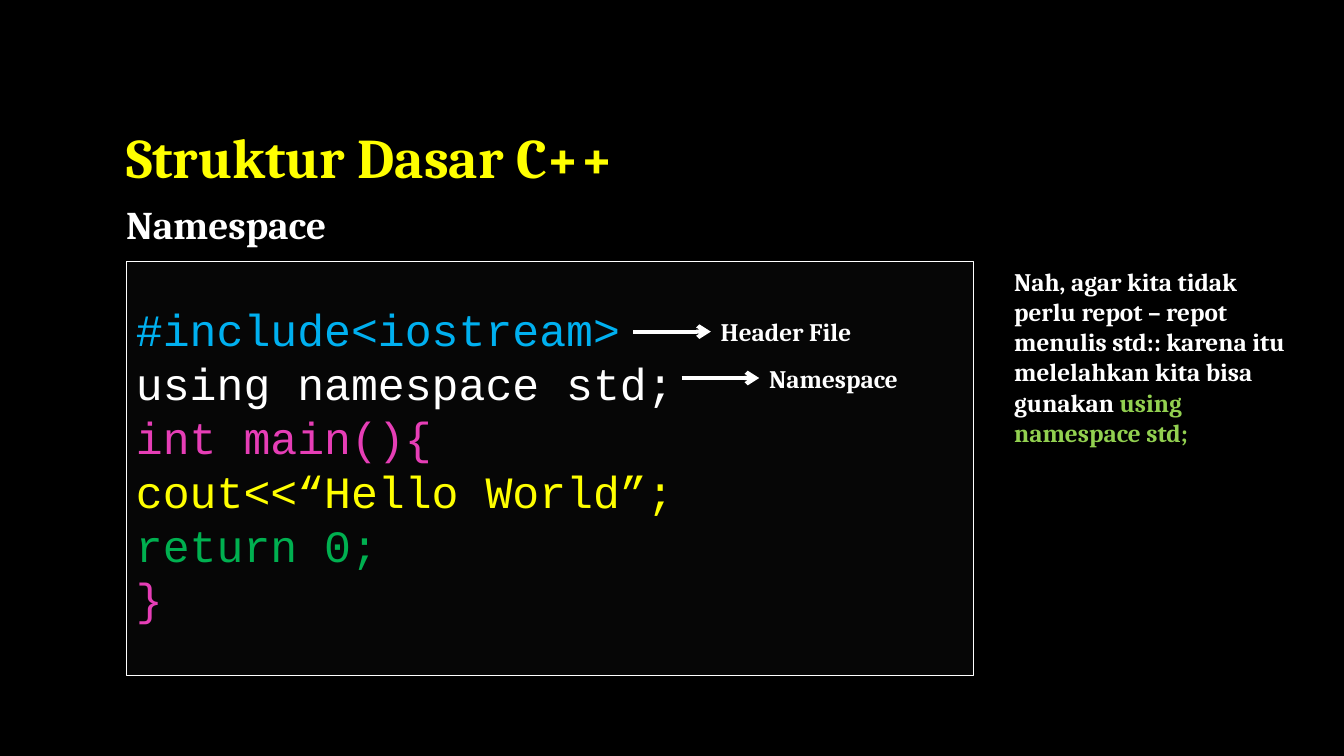
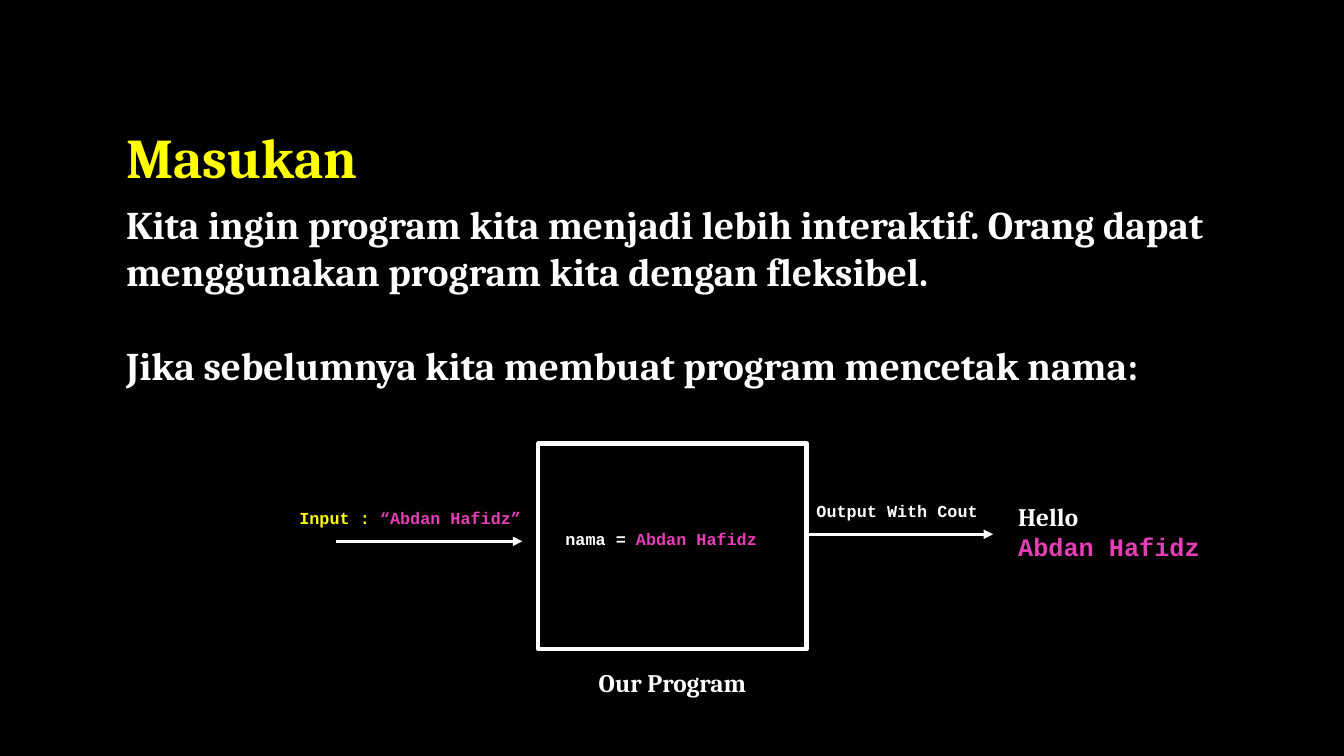
from dataclasses import dataclass

from lxml import etree
from pptx import Presentation
from pptx.dml.color import RGBColor
from pptx.enum.shapes import MSO_CONNECTOR, MSO_SHAPE
from pptx.enum.text import MSO_ANCHOR, MSO_AUTO_SIZE, PP_ALIGN
from pptx.oxml.ns import qn
from pptx.util import Inches, Pt

RECT = MSO_SHAPE.RECTANGLE
STRAIGHT = MSO_CONNECTOR.STRAIGHT
TOP, MIDDLE, BOTTOM = MSO_ANCHOR.TOP, MSO_ANCHOR.MIDDLE, MSO_ANCHOR.BOTTOM
LEFT, CENTER = PP_ALIGN.LEFT, PP_ALIGN.CENTER
LEFT_SIDE = 1


@dataclass(frozen=True)
class Theme:
    back: str = "000000"
    panel: str = "0D0D0D"
    text: str = "FFFFFF"
    title: str = "FFFF00"
    pink: str = "E63EB6"
    blue: str = "00B0F0"
    green: str = "00B050"
    lime: str = "92D050"
    serif: str = "Cambria"
    mono: str = "Courier New"
    title_size: int = 40
    code_size: int = 32
    body_size: int = 28
    label_size: int = 18
    small_size: int = 12


T = Theme()


@dataclass(frozen=True)
class Span:
    text: str
    color: str = T.text
    font: str = T.serif


@dataclass(frozen=True)
class Box:
    x: float
    y: float
    w: float
    h: float

    @property
    def right(self) -> float:
        return self.x + self.w

    @property
    def bottom(self) -> float:
        return self.y + self.h

    def emu(self) -> tuple:
        return tuple(Inches(v) for v in (self.x, self.y, self.w, self.h))


@dataclass(frozen=True)
class Callout:
    text: str
    x: float
    y: float


Lines = list[list[Span]]

SLIDE_W, SLIDE_H = 13.33, 7.5
MARGIN = 1.15
TITLE = Box(MARGIN, 0.8, 10, 1.14)
BODY_W = 11.13
LABEL_H = 0.4
SMALL_H = 0.3


def rgb(color: str) -> RGBColor:
    return RGBColor.from_string(color)


def write(sp, lines: Lines, *, size: int, bold: bool = True, align=LEFT, anchor=TOP,
          spacing=1.0, gap: float = 0, bullets_off: bool = False) -> None:
    """Fill a shape with one paragraph per line; gap is the space between them in points."""
    tf = sp.text_frame
    tf.word_wrap = True
    tf.auto_size = MSO_AUTO_SIZE.NONE
    tf.vertical_anchor = anchor
    for i, spans in enumerate(lines):
        p = tf.paragraphs[0] if i == 0 else tf.add_paragraph()
        p.alignment = align
        p.line_spacing = spacing
        p.space_before = Pt(gap if i else 0)
        if bullets_off:
            props = p._p.get_or_add_pPr()
            props.set("marL", "0")
            props.set("indent", "0")
            etree.SubElement(props, qn("a:buNone"))
        for span in spans:
            r = p.add_run()
            r.text = span.text
            r.font.name = span.font
            r.font.size = Pt(size)
            r.font.bold = bold
            r.font.color.rgb = rgb(span.color)


def place(sp, box: Box) -> None:
    sp.left, sp.top, sp.width, sp.height = box.emu()


def add_text(s, box: Box, lines: Lines, **fmt):
    sp = s.shapes.add_textbox(*box.emu())
    write(sp, lines, **fmt)
    return sp


def add_frame(s, box: Box, width: float):
    """Add an unfilled rectangle with a light outline."""
    sp = s.shapes.add_shape(RECT, *box.emu())
    sp.shadow.inherit = False
    sp.fill.background()
    sp.line.color.rgb = rgb(T.text)
    sp.line.width = Pt(width)
    return sp


def add_arrow(s, x: float, y: float, length: float, *, width: float, head: str,
              target=None) -> None:
    """Add a rightward arrow, joined to the target's left side if there is one."""
    line = s.shapes.add_connector(STRAIGHT, Inches(x), Inches(y), Inches(x + length), Inches(y))
    if target is not None:
        line.end_connect(target, LEFT_SIDE)
    line.line.color.rgb = rgb(T.text)
    line.line.width = Pt(width)
    etree.SubElement(line.line._get_or_add_ln(), qn("a:tailEnd"), type=head)
    etree.SubElement(line._element.spPr, qn("a:effectLst"))


def add_slide(prs, title: str, body: list[str], body_h: float):
    s = prs.slides.add_slide(prs.slide_layouts[1])
    head, text = s.placeholders
    place(head, TITLE)
    write(head, [[Span(title, T.title)]], size=T.title_size, anchor=BOTTOM, spacing=0.9)
    place(text, Box(MARGIN, TITLE.bottom, BODY_W, body_h))
    write(text, [[Span(line)] for line in body], size=T.body_size,
          gap=1.2 * T.body_size, bullets_off=True)
    return s


def build_structure(prs) -> None:
    s = add_slide(prs, "Struktur Dasar C++", ["Namespace"], 0.65)

    panel = Box(1.25, 2.59, 8.41, 4.11)
    sp = add_frame(s, panel, 0.75)
    sp.fill.solid()
    sp.fill.fore_color.rgb = rgb(T.panel)
    fill_color = sp._element.spPr.find(qn("a:solidFill"))[0]
    etree.SubElement(fill_color, qn("a:alpha"), val="50000")
    code = [
        ("#include<iostream>", T.blue),
        ("using namespace std;", T.text),
        ("int main(){", T.pink),
        ("cout<<“Hello World”;", T.title),
        ("return 0;", T.green),
        ("}", T.pink),
    ]
    write(sp, [[Span(line, color, T.mono)] for line, color in code], size=T.code_size,
          bold=False, anchor=BOTTOM, spacing=Pt(38.5))
    sp.text_frame.margin_bottom = Inches(0.5)

    add_text(s, Box(panel.right + 0.3, panel.y, 2.91, 2.22), [[
        Span("Nah, agar kita tidak perlu repot – repot menulis std:: karena itu "
             "melelahkan kita bisa gunakan "),
        Span("using namespace std;", T.lime),
    ]], size=T.label_size)

    arrow = 0.77
    for c in (Callout("Header File", 6.28, 3.29), Callout("Namespace", 6.76, 3.75)):
        label = add_text(s, Box(c.x + arrow, c.y - LABEL_H / 2, 2, LABEL_H),
                         [[Span(c.text)]], size=T.label_size, anchor=MIDDLE)
        add_arrow(s, c.x, c.y, arrow, width=3, head="arrow", target=label)


def build_input(prs) -> None:
    s = add_slide(prs, "Masukan", [
        "Kita ingin program kita menjadi lebih interaktif. Orang dapat menggunakan "
        "program kita dengan fleksibel.",
        "Jika sebelumnya kita membuat program mencetak nama:",
    ], 2.46)

    program = Box(5.34, 4.4, 2.66, 2.04)
    add_frame(s, program, 3)
    add_text(s, Box(program.x, program.bottom + 0.13, program.w, LABEL_H),
             [[Span("Our Program")]], size=T.label_size, align=CENTER)

    name = "Abdan Hafidz"
    small_labels = [
        (Box(2.87, 4.99, 2.79, SMALL_H),
         [Span("Input : ", T.title, T.mono), Span(f"“{name}”", T.pink, T.mono)]),
        (Box(5.51, 5.2, 2.33, SMALL_H),
         [Span("nama = ", font=T.mono), Span(name, T.pink, T.mono)]),
        (Box(program.right, 4.92, 2.33, SMALL_H), [Span("Output With Cout", font=T.mono)]),
    ]
    for box, spans in small_labels:
        add_text(s, box, [spans], size=T.small_size)

    for x, y in ((3.33, 5.37), (program.right, 5.3)):
        add_arrow(s, x, y, 1.85, width=2.25, head="triangle")

    add_text(s, Box(10, 4.92, 3, 0.71), [[Span("Hello")], [Span(name, T.pink, T.mono)]],
             size=T.label_size)


def main() -> None:
    prs = Presentation()
    prs.slide_width, prs.slide_height = Inches(SLIDE_W), Inches(SLIDE_H)
    fill = prs.slide_master.background.fill
    fill.solid()
    fill.fore_color.rgb = rgb(T.back)
    build_structure(prs)
    build_input(prs)
    prs.save("out.pptx")


if __name__ == "__main__":
    main()
